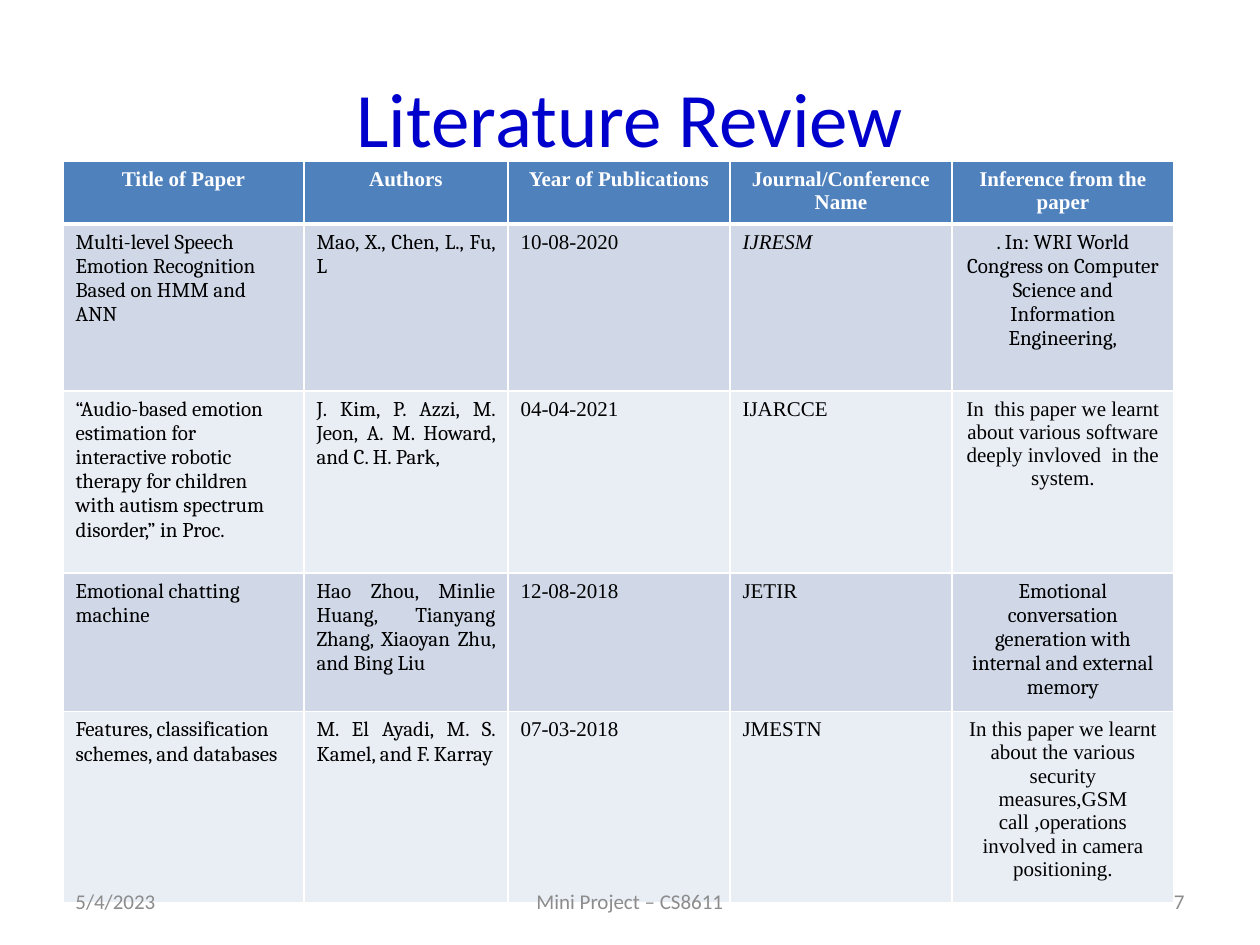
from pptx import Presentation, util as u
from pptx.dml.color import RGBColor
from pptx.enum import text
from pptx.oxml import parse_xml
from pptx.oxml.ns import nsdecls

PX = 914400 / 126
WHITE = RGBColor(0xFF, 0xFF, 0xFF)
BLACK = RGBColor(0, 0, 0)
BLUE = RGBColor(0, 0, 0xCC)
GRAY = RGBColor(0x8C, 0x8C, 0x8C)
HEADER = RGBColor(0x4F, 0x81, 0xBD)
BANDS = RGBColor(0xD0, 0xD8, 0xE8), RGBColor(0xE9, 0xED, 0xF4)

SANS, SERIF, TIMES = "Calibri", "Cambria", "Times New Roman"
LEFT, CENTER = text.PP_ALIGN.LEFT, text.PP_ALIGN.CENTER
RIGHT, JUSTIFY = text.PP_ALIGN.RIGHT, text.PP_ALIGN.JUSTIFY

COL_WIDTHS = [241, 204, 222, 222, 222]
ROW_HEIGHTS = [58, 167, 182, 133, 191]
COL_ALIGNS = [LEFT, JUSTIFY, JUSTIFY, JUSTIFY, CENTER]
HEADINGS = ["Title of Paper", "Authors", "Year of Publications",
            "Journal/Conference Name", "Inference from the paper"]
PAPERS = [
    ["Multi-level Speech Emotion Recognition Based on HMM and ANN",
     "Mao, X., Chen, L., Fu, L", "10-08-2020", "IJRESM",
     ". In: WRI World Congress on Computer Science and Information Engineering,"],
    ["“Audio-based emotion estimation for interactive robotic therapy for "
     "children with autism spectrum disorder,” in Proc.",
     "J. Kim, P. Azzi, M. Jeon, A. M. Howard, and C. H. Park, ",
     "04-04-2021", "IJARCCE",
     "In  this paper we learnt about various software deeply invloved  in the system."],
    ["Emotional chatting machine",
     "Hao Zhou, Minlie Huang, Tianyang Zhang, Xiaoyan Zhu, and Bing Liu",
     "12-08-2018", "JETIR",
     "Emotional conversation generation with internal and external memory"],
    ["Features, classification schemes, and databases",
     "M. El Ayadi, M. S. Kamel, and F. Karray", "07-03-2018", "JMESTN",
     "In this paper we learnt about the various security measures,GSM call "
     ",operations involved in camera positioning."],
]
INFERENCE_FONTS = [SERIF, TIMES, SERIF, TIMES]


def px(n):
    return u.Emu(round(n * PX))


def write(tf, words, size, font, color, align, bold=False, italic=False):
    p = tf.paragraphs[0]
    p.alignment = align
    r = p.add_run()
    r.text = words
    r.font.size, r.font.name = u.Pt(size), font
    r.font.bold, r.font.italic = bold, italic
    r.font.color.rgb = color


def add_text(s, box, words, size, color, align):
    tf = s.shapes.add_textbox(*map(px, box)).text_frame
    tf.word_wrap = True
    tf.vertical_anchor = text.MSO_ANCHOR.MIDDLE
    write(tf, words, size, SANS, color, align)


def style_cell(cell, fill, top=1, bottom=1):
    """Give a cell its fill and white borders, with widths in points."""
    tcPr = cell._tc.get_or_add_tcPr()
    for side, width in zip("LRTB", (1, 1, top, bottom)):
        tcPr.append(parse_xml(
            f'<a:ln{side} {nsdecls("a")} w="{u.Pt(width)}"><a:solidFill>'
            f'<a:srgbClr val="{WHITE}"/></a:solidFill></a:ln{side}>'))
    cell.fill.solid()
    cell.fill.fore_color.rgb = fill


def add_review_table(s, left, top):
    box = left, top, sum(COL_WIDTHS), sum(ROW_HEIGHTS)
    table = s.shapes.add_table(len(ROW_HEIGHTS), len(COL_WIDTHS), *map(px, box)).table
    for col, width in zip(table.columns, COL_WIDTHS):
        col.width = px(width)
    for row, height in zip(table.rows, ROW_HEIGHTS):
        row.height = px(height)

    for c, heading in enumerate(HEADINGS):
        cell = table.cell(0, c)
        style_cell(cell, HEADER, bottom=3)
        write(cell.text_frame, heading, 12, TIMES, WHITE, CENTER, bold=True)

    for i, paper in enumerate(PAPERS):
        fonts = [SERIF, SERIF, TIMES, TIMES, INFERENCE_FONTS[i]]
        for c, words in enumerate(paper):
            cell = table.cell(i + 1, c)
            style_cell(cell, BANDS[i % 2], top=3 if i == 0 else 1)
            write(cell.text_frame, words, 12, fonts[c], BLACK, COL_ALIGNS[c],
                  italic=words == "IJRESM")


def add_footer(s, left, top, width, height):
    side, middle = 294, 400
    parts = [(0, side, "5/4/2023", LEFT),
             ((width - middle) // 2, middle, "Mini Project – CS8611", CENTER),
             (width - side, side, "7", RIGHT)]
    for x, w, words, align in parts:
        add_text(s, (left + x, top, w, height), words, 12, GRAY, align)


def main():
    prs = Presentation()
    prs.slide_width, prs.slide_height = px(1260), px(945)
    s = prs.slides.add_slide(prs.slide_layouts[6])
    add_text(s, (63, 38, 1134, 157), "Literature Review", 44, BLUE, CENTER)
    add_review_table(s, 63, 161)
    add_footer(s, 63, 876, 1134, 50)
    prs.save("out.pptx")


if __name__ == "__main__":
    main()
